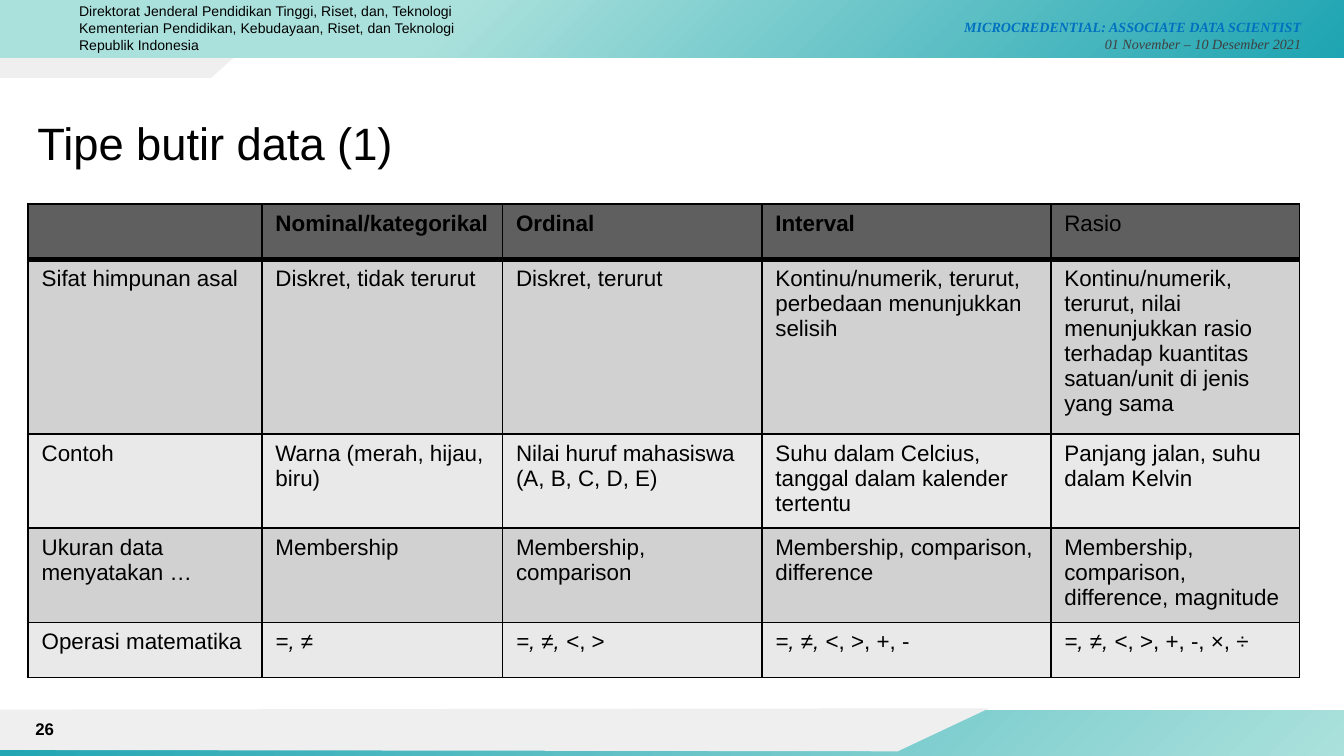
from lxml import etree
from pptx import Presentation
from pptx.dml.color import RGBColor
from pptx.enum.shapes import MSO_SHAPE
from pptx.enum.text import MSO_ANCHOR, PP_ALIGN
from pptx.oxml import parse_xml
from pptx.oxml.ns import nsdecls, qn
from pptx.util import Inches, Pt

BLACK = RGBColor(0x00, 0x00, 0x00)
BLUE = RGBColor(0x00, 0x70, 0xC0)
CHARCOAL = RGBColor(0x3F, 0x3F, 0x3F)
PALE = RGBColor(0xEF, 0xEF, 0xEF)
TEAL = RGBColor(0x1E, 0xA4, 0xB2)
MINT = RGBColor(0xAB, 0xE1, 0xDC)
HEAD_FILL = RGBColor(0x5F, 0x5F, 0x5F)
ROW_FILLS = (RGBColor(0xD1, 0xD1, 0xD1), RGBColor(0xE9, 0xE9, 0xE9))

COL_WIDTHS = (1.74, 1.79, 1.93, 2.15, 1.85)
ROW_HEIGHT = 0.41
ROWS = (
    ("", "Nominal/kategorikal", "Ordinal", "Interval", "Rasio"),
    ("Sifat himpunan asal", "Diskret, tidak terurut", "Diskret, terurut",
     "Kontinu/numerik, terurut, perbedaan menunjukkan selisih",
     "Kontinu/numerik, terurut, nilai menunjukkan rasio terhadap kuantitas "
     "satuan/unit di jenis yang sama"),
    ("Contoh", "Warna (merah, hijau, biru)", "Nilai huruf mahasiswa (A, B, C, D, E)",
     "Suhu dalam Celcius, tanggal dalam kalender tertentu",
     "Panjang jalan, suhu dalam Kelvin"),
    ("Ukuran data menyatakan …", "Membership", "Membership, comparison",
     "Membership, comparison, difference",
     "Membership, comparison, difference, magnitude"),
    ("Operasi matematika", "=, ≠", "=, ≠, <, >", "=, ≠, <, >, +, -",
     "=, ≠, <, >, +, -, ×, ÷"),
)


def set_font(font, size, color=BLACK, name="Arial", bold=False, italic=False):
    font.size, font.name = Pt(size), name
    font.bold, font.italic = bold, italic
    font.color.rgb = color


def add_band(s, top, height, stops):
    """Full-width bar with a gradient spreading from its lower right corner."""
    sp = s.shapes.add_shape(MSO_SHAPE.RECTANGLE, 0, Inches(top), Inches(10), Inches(height))
    sp.shadow.inherit = False
    sp.line.fill.background()
    stop_xml = "".join(f'<a:gs pos="{pos * 1000}"><a:srgbClr val="{color}"/></a:gs>'
                       for pos, color in stops)
    gradient = parse_xml(
        f'<a:gradFill {nsdecls("a")} rotWithShape="1"><a:gsLst>{stop_xml}</a:gsLst>'
        '<a:path path="circle"><a:fillToRect l="100000" t="100000"/></a:path></a:gradFill>')
    sp._element.spPr.find(qn("a:prstGeom")).addnext(gradient)


def add_tab(s, points):
    start, *rest = [(Inches(x), Inches(y)) for x, y in points]
    builder = s.shapes.build_freeform(*start, scale=1.0)
    builder.add_line_segments(rest, close=True)
    sp = builder.convert_to_shape()
    sp.shadow.inherit = False
    sp.fill.solid()
    sp.fill.fore_color.rgb = PALE
    sp.line.fill.background()


def add_text(s, box, lines, size, align=PP_ALIGN.LEFT, top_inset=0.05,
             anchor=MSO_ANCHOR.TOP, **style):
    tf = s.shapes.add_textbox(*map(Inches, box)).text_frame
    tf.word_wrap = True
    tf.vertical_anchor = anchor
    tf.margin_top = Inches(top_inset)
    for i, line in enumerate(lines):
        p = tf.paragraphs[0] if i == 0 else tf.add_paragraph()
        p.text = line
        p.alignment = align
        set_font(p.font, size, **style)
    return tf


def set_borders(cell, **widths):
    tc_pr = cell._tc.get_or_add_tcPr()
    for side in "LRTB":
        ln = etree.SubElement(tc_pr, qn(f"a:ln{side}"), w=str(Pt(widths.get(side, 1))))
        fill = etree.SubElement(ln, qn("a:solidFill"))
        etree.SubElement(fill, qn("a:srgbClr"), val=str(BLACK))


def fill_cell(cell, text, row, col):
    set_borders(cell, **{0: {"B": 3}, 1: {"T": 3}}.get(row, {}))
    cell.fill.solid()
    cell.fill.fore_color.rgb = HEAD_FILL if row == 0 else ROW_FILLS[(row - 1) % 2]
    # The equality signs are italic, the other operators upright
    if text.startswith("="):
        equality, mark, others = text.partition("≠, ")
        parts = ((equality + mark, True), (others, False))
    else:
        parts = ((text, False),)
    p = cell.text_frame.paragraphs[0]
    bold = row == 0 and col < len(COL_WIDTHS) - 1
    for part, italic in parts:
        if part:
            r = p.add_run()
            r.text = part
            # Row heights follow the run fonts
            set_font(r.font, 12, bold=bold, italic=italic)


def add_data_table(s):
    table = s.shapes.add_table(
        len(ROWS), len(COL_WIDTHS), Inches(0.21), Inches(1.52),
        Inches(sum(COL_WIDTHS)), Inches(ROW_HEIGHT * len(ROWS))).table
    for column, width in zip(table.columns, COL_WIDTHS):
        column.width = Inches(width)
    for i, texts in enumerate(ROWS):
        table.rows[i].height = Inches(ROW_HEIGHT)
        for j, text in enumerate(texts):
            fill_cell(table.cell(i, j), text, i, j)


def main():
    prs = Presentation()
    prs.slide_width = Inches(10)
    prs.slide_height = prs.slide_width * 9 // 16
    s = prs.slides.add_slide(prs.slide_layouts[6])

    # Header and footer bands
    add_tab(s, ((1.83, 0.35), (0, 0.33), (0, 0.58), (1.57, 0.58)))
    add_band(s, 5.29, 0.36, ((0, MINT), (100, TEAL)))
    add_tab(s, ((7.36, 5.27), (0, 5.28), (0, 5.58), (6.68, 5.59)))
    add_band(s, 0, 0.43, ((0, TEAL), (67, MINT), (100, MINT)))

    # Header texts
    tf = add_text(s, (5.95, 0.05, 3.83, 0.39),
                  ["MICROCREDENTIAL: ASSOCIATE DATA SCIENTIST"], 7.5,
                  align=PP_ALIGN.RIGHT, top_inset=0.09,
                  name="Times New Roman", color=BLUE, bold=True, italic=True)
    p = tf.paragraphs[0]
    p.add_line_break()
    r = p.add_run()
    r.text = "01 November – 10 Desember 2021"
    r.font.bold = False
    r.font.color.rgb = CHARCOAL
    add_text(s, (0.49, -0.03, 3.33, 0.48),
             ["Direktorat Jenderal Pendidikan Tinggi, Riset, dan, Teknologi",
              "Kementerian Pendidikan, Kebudayaan, Riset, dan Teknologi Republik Indonesia"], 7.5)

    # Title, page number and table
    add_text(s, (0.18, 0.76, 9.13, 0.58), ["Tipe butir data (1)"], 24.3, top_inset=0.1)
    add_text(s, (0, 5.27, 0.5, 0.3), ["26"], 9, align=PP_ALIGN.RIGHT,
             anchor=MSO_ANCHOR.MIDDLE, bold=True)
    add_data_table(s)

    prs.save("out.pptx")


if __name__ == "__main__":
    main()
